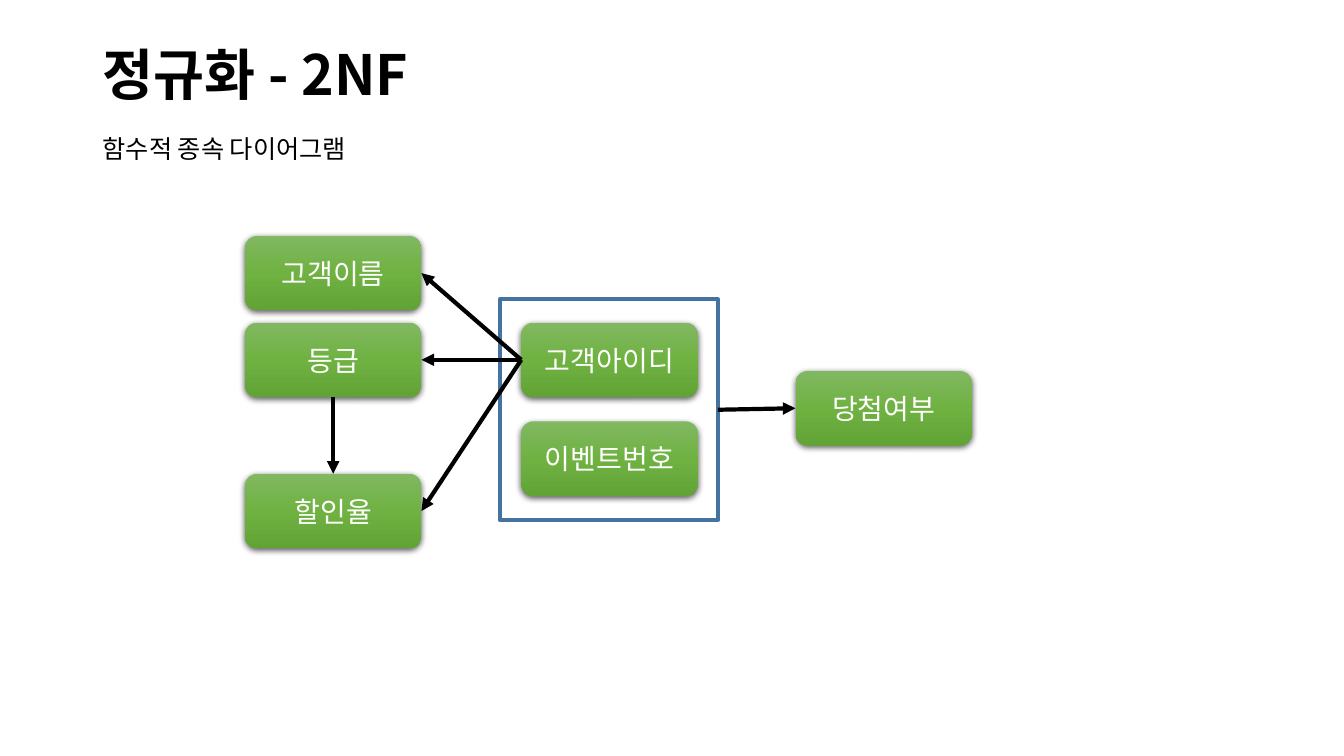
from lxml.etree import SubElement
from pptx import Presentation
from pptx.dml.color import RGBColor
from pptx.enum.shapes import MSO_CONNECTOR, MSO_SHAPE
from pptx.enum.text import MSO_ANCHOR, MSO_AUTO_SIZE, PP_ALIGN
from pptx.oxml import parse_xml
from pptx.oxml.ns import nsdecls, qn
from pptx.util import Inches, Pt

FONT = "Noto Sans CJK KR"
TOP, LEFT, BOTTOM, RIGHT = range(4)


def color(value):
    return RGBColor.from_string(value)


def write(shape, text, size, ink="000000", bold=False, align=PP_ALIGN.LEFT,
          anchor=MSO_ANCHOR.TOP, wrap=True, spacing=None):
    frame = shape.text_frame
    frame.word_wrap = wrap
    frame.vertical_anchor = anchor
    paragraph = frame.paragraphs[0]
    paragraph.alignment = align
    paragraph.line_spacing = spacing
    run = paragraph.add_run()
    run.text = text
    run.font.size = Pt(size)
    run.font.bold = bold
    run.font.name = FONT
    run.font.color.rgb = color(ink)
    SubElement(run.font._element, qn("a:ea"), typeface=FONT)


prs = Presentation()
prs.slide_width, prs.slide_height = Inches(13.33), Inches(7.5)
slide = prs.slides.add_slide(prs.slide_layouts[6])
shapes = slide.shapes

title = shapes.add_textbox(Inches(0.92), Inches(0.4), Inches(11.5), Inches(0.73))
write(title, "정규화 - 2NF", 39.6, bold=True, anchor=MSO_ANCHOR.MIDDLE, spacing=0.9)
subtitle = shapes.add_textbox(Inches(0.92), Inches(1.27), Inches(2.99), Inches(0.4))
write(subtitle, "함수적 종속 다이어그램", 18, wrap=False)
subtitle.text_frame.auto_size = MSO_AUTO_SIZE.SHAPE_TO_FIT_TEXT

attributes = {}
for name, left, top in [
    ("고객아이디", 5.17, 3.2),
    ("이벤트번호", 5.17, 4.18),
    ("당첨여부", 7.89, 3.68),
    ("할인율", 2.43, 4.7),
    ("등급", 2.43, 3.2),
    ("고객이름", 2.43, 2.34),
]:
    box = shapes.add_shape(MSO_SHAPE.ROUNDED_RECTANGLE, Inches(left), Inches(top),
                           Inches(1.75), Inches(0.74))
    box.fill.gradient()
    box.fill.gradient_angle = 270
    stops = box._element.spPr.find(qn("a:gradFill")).find(qn("a:gsLst"))
    stops.clear()
    for position, shade in [(0, "81B861"), (50, "6FB242"), (100, "62A336")]:
        stop = SubElement(stops, qn("a:gs"), pos=str(position * 1000))
        SubElement(stop, qn("a:srgbClr"), val=shade)
    box.line.fill.background()
    box.shadow.inherit = False
    box._element.spPr.find(qn("a:effectLst")).append(parse_xml(
        f'<a:outerShdw {nsdecls("a")} blurRad="{Pt(4.5)}" dist="{Pt(1.5)}" dir="5400000" '
        'algn="ctr" rotWithShape="0"><a:srgbClr val="000000"><a:alpha val="63000"/>'
        '</a:srgbClr></a:outerShdw>'))
    write(box, name, 20, ink="FFFFFF", align=PP_ALIGN.CENTER, anchor=MSO_ANCHOR.MIDDLE)
    attributes[name] = box

primary_key = shapes.add_shape(MSO_SHAPE.RECTANGLE, Inches(4.96), Inches(2.97),
                               Inches(2.16), Inches(2.19))
primary_key.fill.background()
primary_key.line.color.rgb = color("43739E")
primary_key.line.width = Pt(3)
primary_key.shadow.inherit = False

customer_id, grade = attributes["고객아이디"], attributes["등급"]
for source, source_side, target, target_side in [
    (primary_key, RIGHT, attributes["당첨여부"], LEFT),
    (customer_id, LEFT, attributes["할인율"], RIGHT),
    (customer_id, LEFT, grade, RIGHT),
    (customer_id, LEFT, attributes["고객이름"], RIGHT),
    (grade, BOTTOM, attributes["할인율"], TOP),
]:
    dependency = shapes.add_connector(MSO_CONNECTOR.STRAIGHT, 0, 0, 0, 0)
    dependency.begin_connect(source, source_side)
    dependency.end_connect(target, target_side)
    dependency.line.color.rgb = color("000000")
    dependency.line.width = Pt(3)
    SubElement(dependency.line._get_or_add_ln(), qn("a:tailEnd"), type="triangle")
    SubElement(dependency._element.spPr, qn("a:effectLst"))

prs.save("out.pptx")
